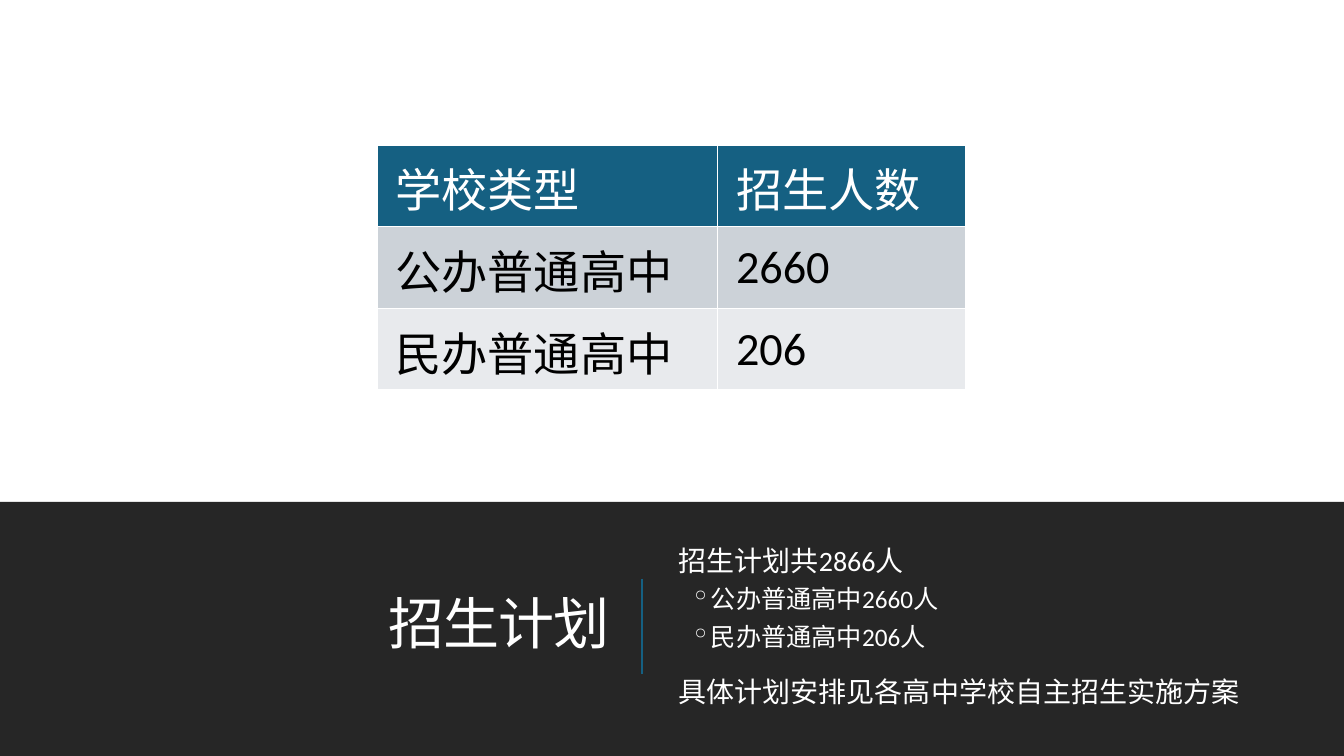
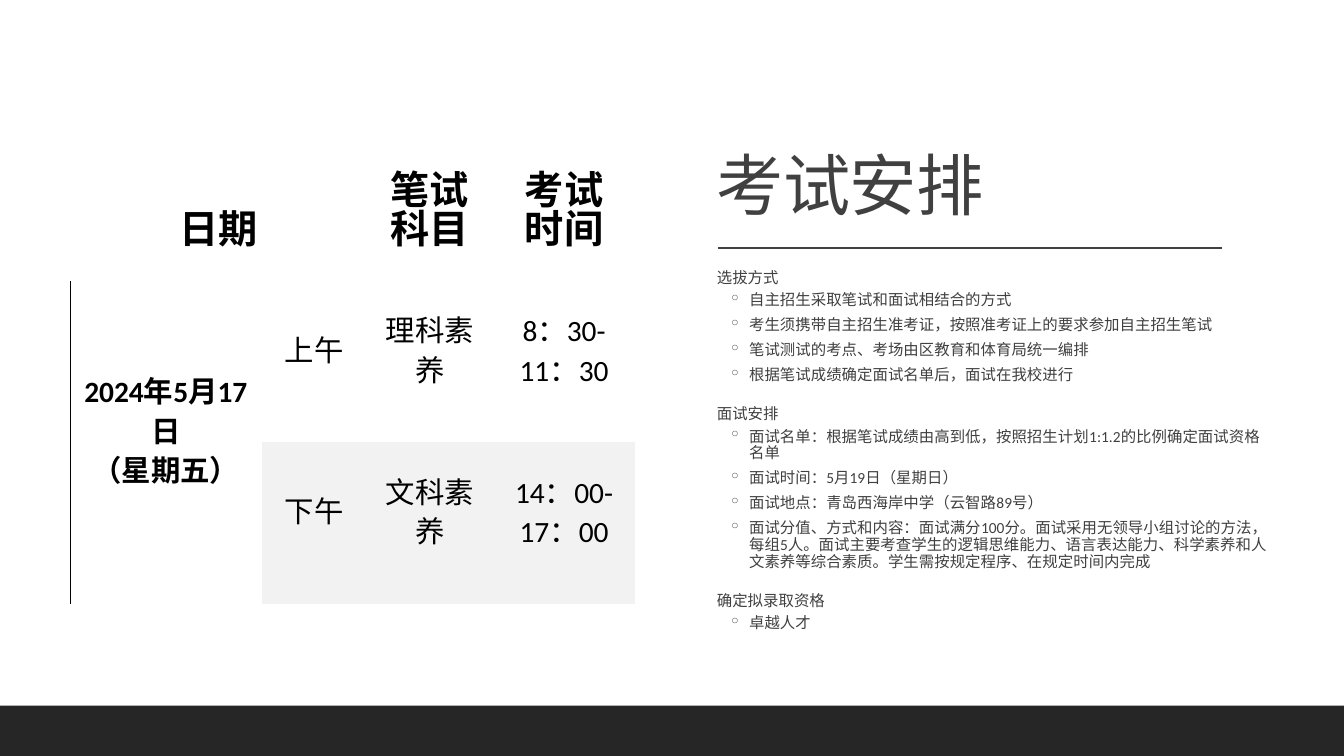
"""Build two slides on the enrolment plan and the exam schedule."""
import pptx
import pptx.dml.color
import pptx.enum.lang
import pptx.enum.shapes
import pptx.enum.text
import pptx.oxml
import pptx.oxml.ns
import pptx.util

Inches = pptx.util.Inches
Pt = pptx.util.Pt
ALIGN = pptx.enum.text.PP_ALIGN
ANCHOR = pptx.enum.text.MSO_ANCHOR

COLOURS = {
    "white": "FFFFFF",
    "black": "000000",
    "band": "262626",
    "accent": "156082",
    "text": "404040",
    "row_dark": "CCD2D8",
    "row_light": "E8EAED",
    "shade": "F2F2F2",
}
FONT = "Calibri"
WIDTH, HEIGHT = 13.33, 7.5
PLAIN_STYLE = "{2D5ABB26-0587-4C30-8999-92F81FD0307C}"
TOPIC, ITEM = 0, 1

PLAN_LINES = [
    (TOPIC, "招生计划共2866人"),
    (ITEM, "公办普通高中2660人"),
    (ITEM, "民办普通高中206人"),
    (TOPIC, "具体计划安排见各高中学校自主招生实施方案"),
]
PLAN_ROWS = [
    ("学校类型", "招生人数"),
    ("公办普通高中", "2660"),
    ("民办普通高中", "206"),
]
EXAM_LINES = [
    (TOPIC, "选拔方式"),
    (ITEM, "自主招生采取笔试和面试相结合的方式"),
    (ITEM, "考生须携带自主招生准考证，按照准考证上的要求参加自主招生笔试"),
    (ITEM, "笔试测试的考点、考场由区教育和体育局统一编排"),
    (ITEM, "根据笔试成绩确定面试名单后，面试在我校进行"),
    (TOPIC, "面试安排"),
    (ITEM, "面试名单：根据笔试成绩由高到低，按照招生计划1:1.2的比例确定面试资格名单"),
    (ITEM, "面试时间：5月19日（星期日）"),
    (ITEM, "面试地点：青岛西海岸中学（云智路89号）"),
    (ITEM, "面试分值、方式和内容：面试满分100分。面试采用无领导小组讨论的方法，"
           "每组5人。面试主要考查学生的逻辑思维能力、语言表达能力、科学素养和"
           "人文素养等综合素质。学生需按规定程序、在规定时间内完成"),
    (TOPIC, "确定拟录取资格"),
    (ITEM, "卓越人才"),
]
EXAM_ROWS = [
    ("日期", "", "笔试科目", "考试时间"),
    ("2024年5月17日\n（星期五）", "上午", "理科素养", "8：30-11：30"),
    ("", "下午", "文科素养", "14：00-17：00"),
]


def rgb(name):
    """Return the named colour."""
    return pptx.dml.color.RGBColor.from_string(COLOURS[name])


def place(left, top, width, height):
    """Turn four numbers in inches into lengths."""
    return [Inches(value) for value in (left, top, width, height)]


def format_runs(para, size, colour, bold=False):
    """Give every run of a paragraph the same font."""
    for span in para.runs:
        span.font.name = FONT
        span.font.size = Pt(size)
        span.font.bold = bold
        span.font.color.rgb = rgb(colour)
        span.font.language_id = pptx.enum.lang.MSO_LANGUAGE_ID.SIMPLIFIED_CHINESE


def set_margins(target, left, top, right, bottom):
    """Set the inner margins of a text frame or table cell."""
    target.margin_left, target.margin_top, target.margin_right, target.margin_bottom = place(
        left, top, right, bottom)


def add_band(page, top):
    """Draw the dark band from the given height to the foot of the slide."""
    band = page.shapes.add_shape(
        pptx.enum.shapes.MSO_SHAPE.RECTANGLE, *place(0, top, WIDTH, HEIGHT - top))
    band.shadow.inherit = False
    band.fill.solid()
    band.fill.fore_color.rgb = rgb("band")
    band.line.fill.background()


def add_title(page, text, area, size, colour, align, anchor):
    """Fill the title placeholder and bring it in front of the band."""
    title = page.shapes.title
    page.shapes.element.append(title.element)
    title.left, title.top, title.width, title.height = place(*area)
    frame = title.text_frame
    frame.text = text
    frame.word_wrap = True
    frame.auto_size = pptx.enum.text.MSO_AUTO_SIZE.NONE
    frame.vertical_anchor = anchor
    para = frame.paragraphs[0]
    para.alignment = align
    para.line_spacing = 0.9
    format_runs(para, size, colour)
    for span in para.runs:
        span.font._element.set("spc", "-50")


def add_rule(page, start, end, colour, weight):
    """Draw a straight line between two points."""
    rule = page.shapes.add_connector(
        pptx.enum.shapes.MSO_CONNECTOR.STRAIGHT, *place(*start, *end))
    rule.line.color.rgb = rgb(colour)
    rule.line.width = Pt(weight)
    rule.element.spPr.append(pptx.oxml.parse_xml(
        f"<a:effectLst {pptx.oxml.ns.nsdecls('a')}/>"))


def add_outline(page, lines, area, sizes, colour, anchor, spacing):
    """Write topics with bulleted items below them."""
    box = page.shapes.add_textbox(*place(*area))
    frame = box.text_frame
    frame.word_wrap = True
    frame.vertical_anchor = anchor
    set_margins(frame, 0, 0.05, 0, 0.05)
    frame.text = "\n".join(text for _, text in lines)
    for para, (level, _) in zip(frame.paragraphs, lines):
        para.level = level
        para.line_spacing = spacing
        para.space_before = Pt((12, 2)[level])
        para.space_after = Pt((2, 4)[level])
        format_runs(para, sizes[level], colour)
        settings = para._p.get_or_add_pPr()
        settings.set("marL", str(Inches((0.1, 0.42)[level])))
        settings.set("indent", str(Inches((0, -0.2)[level])))
        if level == ITEM:
            settings.append(pptx.oxml.parse_xml(
                f"<a:buChar {pptx.oxml.ns.nsdecls('a')} char='◦'/>"))


def add_grid(page, rows, corner, widths, heights):
    """Add an unstyled table and return it with its text filled in."""
    frame = page.shapes.add_table(
        len(rows), len(widths), *place(*corner, sum(widths), sum(heights)))
    table = frame.table
    table._tbl.tblPr.find(pptx.oxml.ns.qn("a:tableStyleId")).text = PLAIN_STYLE
    for column, width in zip(table.columns, widths):
        column.width = Inches(width)
    for row, height, texts in zip(table.rows, heights, rows):
        row.height = Inches(height)
        for cell, text in zip(row.cells, texts):
            cell.text_frame.text = text
    return table


def fill_cell(cell, colour):
    """Fill a table cell."""
    cell.fill.solid()
    cell.fill.fore_color.rgb = rgb(colour)


def set_borders(cell, sides, colour, weight):
    """Draw the given sides (L, R, T, B) of a table cell."""
    settings = cell._tc.get_or_add_tcPr()
    for position, side in enumerate(sides):
        settings.insert(position, pptx.oxml.parse_xml(
            f"<a:ln{side} {pptx.oxml.ns.nsdecls('a')} w='{Pt(weight)}'><a:solidFill>"
            f"<a:srgbClr val='{COLOURS[colour]}'/></a:solidFill></a:ln{side}>"))


def add_plan_table(page):
    """Add the table of enrolment numbers."""
    table = add_grid(page, PLAN_ROWS, (3.74, 1.44), (3.38, 2.46), [0.81] * 3)
    for row, fill in zip(table.rows, ("accent", "row_dark", "row_light")):
        for cell in row.cells:
            set_margins(cell, 0.18, 0.09, 0.18, 0.09)
            cell.vertical_anchor = ANCHOR.MIDDLE
            fill_cell(cell, fill)
            set_borders(cell, "LRTB", "white", 1)
            format_runs(cell.text_frame.paragraphs[0], 33,
                        "white" if fill == "accent" else "black")


def add_exam_table(page):
    """Add the timetable of written exams."""
    table = add_grid(page, EXAM_ROWS, (0.7, 1.17), (1.9, 1.04, 1.26, 1.4), (1.62, 1.6, 1.6))
    for row_index, row in enumerate(table.rows):
        header = row_index == 0
        for column_index, cell in enumerate(row.cells):
            set_margins(cell, 0.12, 0.03, 0.13, 0.26)
            cell.vertical_anchor = ANCHOR.BOTTOM if header else ANCHOR.MIDDLE
            if row_index == 2 and column_index > 0:
                fill_cell(cell, "shade")
            if not header and column_index == 0:
                set_borders(cell, "L", "black", 0.75)
            for para in cell.text_frame.paragraphs:
                para.alignment = ALIGN.CENTER
                para.line_spacing = Pt(28)
                format_runs(para, 28 if header else 21, "black",
                            header or column_index == 0)
    table.cell(0, 0).merge(table.cell(0, 1))
    table.cell(1, 0).merge(table.cell(2, 0))


def add_plan_page(deck):
    """Build the enrolment plan slide."""
    page = deck.slides.add_slide(deck.slide_layouts[5])
    add_band(page, 4.98)
    add_title(page, "招生计划", (0.69, 5.36, 5.46, 1.7), 40, "white",
              ALIGN.RIGHT, ANCHOR.MIDDLE)
    add_rule(page, (6.37, 5.74), (6.37, 6.69), "accent", 1.5)
    add_outline(page, PLAN_LINES, (6.63, 5.36, 6.01, 1.7), (20, 18), "white",
                ANCHOR.MIDDLE, 1.0)
    add_plan_table(page)


def add_exam_page(deck):
    """Build the exam schedule slide."""
    page = deck.slides.add_slide(deck.slide_layouts[5])
    add_band(page, 7)
    add_title(page, "考试安排", (7.01, 0.69, 5.61, 1.59), 48, "text",
              ALIGN.LEFT, ANCHOR.BOTTOM)
    add_rule(page, (7.12, 2.46), (12.12, 2.46), "text", 1)
    add_outline(page, EXAM_LINES, (7.01, 2.63, 5.61, 3.79), (11, 11), "text",
                ANCHOR.TOP, 0.9)
    add_exam_table(page)


def main():
    """Build and save the deck."""
    deck = pptx.Presentation()
    deck.slide_width, deck.slide_height = Inches(WIDTH), Inches(HEIGHT)
    add_plan_page(deck)
    add_exam_page(deck)
    deck.save("out.pptx")


if __name__ == "__main__":
    main()
